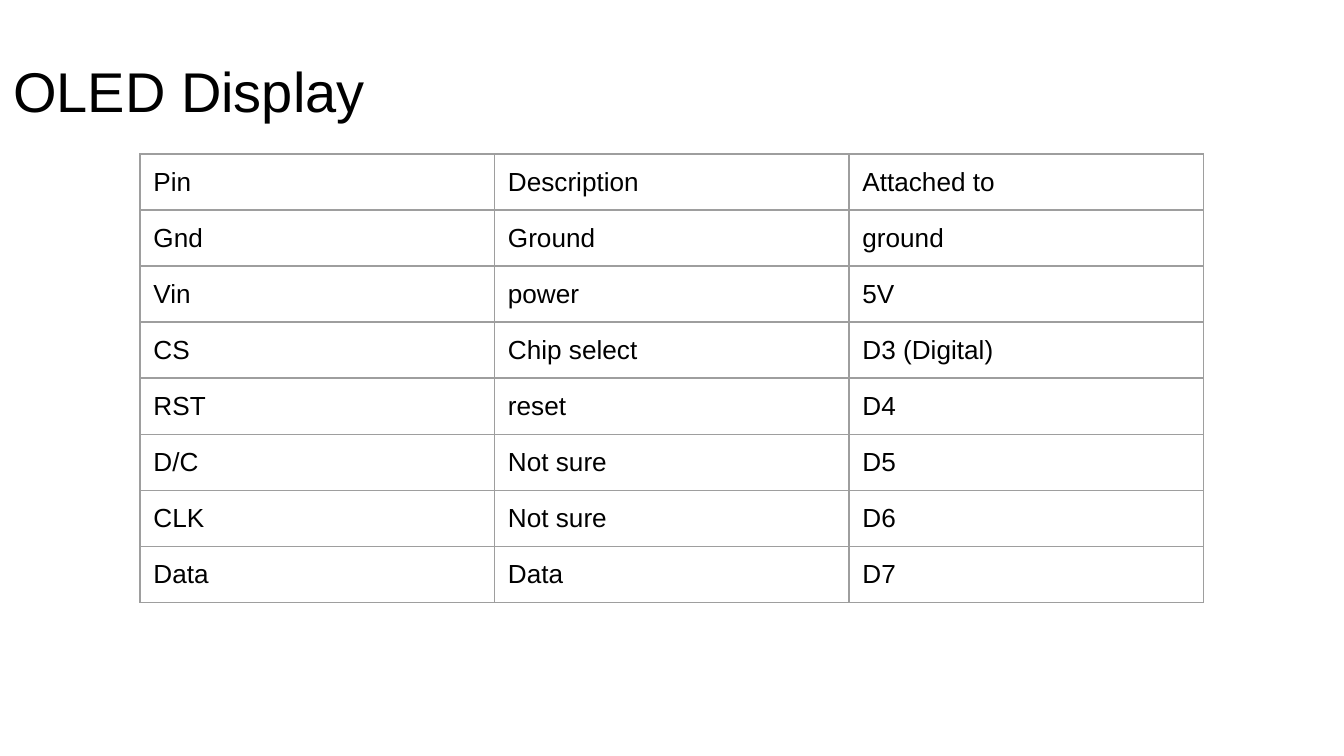
from lxml.etree import SubElement
from pptx import Presentation
from pptx.dml.color import RGBColor
from pptx.enum.text import MSO_ANCHOR
from pptx.oxml.ns import qn
from pptx.util import Emu, Pt

EMU_PER_PX = 3810
BLACK = RGBColor(0x00, 0x00, 0x00)
GREY = RGBColor(0x9E, 0x9E, 0x9E)
INSET = 24
CELL_BOTTOM_INSET = 20
COLUMN_WIDTH = 633
ROW_HEIGHT = 100
BORDER_WIDTH = Pt(0.75)
PINS = [
    ("Pin", "Description", "Attached to"),
    ("Gnd", "Ground", "ground"),
    ("Vin", "power", "5V"),
    ("CS", "Chip select", "D3 (Digital)"),
    ("RST", "reset", "D4"),
    ("D/C", "Not sure", "D5"),
    ("CLK", "Not sure", "D6"),
    ("Data", "Data", "D7"),
]


def px(length):
    """Turn a length in px into EMU."""
    return Emu(length * EMU_PER_PX)


def set_attributes(target, values):
    """Set each named value on the target."""
    for name, value in values.items():
        setattr(target, name, value)


def insets(bottom=INSET):
    """Return the margins for a text frame or table cell."""
    sides = {"left": INSET, "top": INSET, "right": INSET, "bottom": bottom}
    return {f"margin_{side}": px(length) for side, length in sides.items()}


def write_text(text_frame, text, size):
    """Write one plain run of text."""
    run = text_frame.paragraphs[0].add_run()
    run.text = text
    set_attributes(run.font, {"name": "Arial", "size": Pt(size), "bold": False})
    run.font.color.rgb = BLACK


def add_title(slide, text, left, top, width, height):
    """Add the title, resting on the bottom of its box."""
    shape = slide.shapes.add_textbox(px(left), px(top), px(width), px(height))
    frame_format = {"word_wrap": True, "vertical_anchor": MSO_ANCHOR.BOTTOM}
    set_attributes(shape.text_frame, frame_format | insets())
    write_text(shape.text_frame, text, 30)


def add_borders(cell):
    """Draw a thin grey line on each side of a cell."""
    properties = cell._tc.get_or_add_tcPr()
    for side in ("lnL", "lnR", "lnT", "lnB"):
        line = SubElement(properties, qn(f"a:{side}"), w=str(BORDER_WIDTH))
        fill = SubElement(line, qn("a:solidFill"))
        SubElement(fill, qn("a:srgbClr"), val=str(GREY))


def add_pin_table(slide, left, top):
    """Add the table of display pins."""
    row_count, column_count = len(PINS), len(PINS[0])
    table = slide.shapes.add_table(
        row_count, column_count, px(left), px(top),
        px(column_count * COLUMN_WIDTH), px(row_count * ROW_HEIGHT),
    ).table
    set_attributes(table, {"first_row": False, "horz_banding": False})
    for row, texts in zip(table.rows, PINS):
        for cell, text in zip(row.cells, texts):
            set_attributes(cell, insets(CELL_BOTTOM_INSET))
            add_borders(cell)
            cell.fill.background()
            write_text(cell.text_frame, text, 14)


def main():
    """Build the slide and save it."""
    presentation = Presentation()
    size = {"slide_width": px(2400), "slide_height": px(1350)}
    set_attributes(presentation, size)
    slide = presentation.slides.add_slide(presentation.slide_layouts[6])
    add_title(slide, "OLED Display", 0, 82, 2237, 163)
    add_pin_table(slide, 250, 275)
    presentation.save("out.pptx")


if __name__ == "__main__":
    main()
